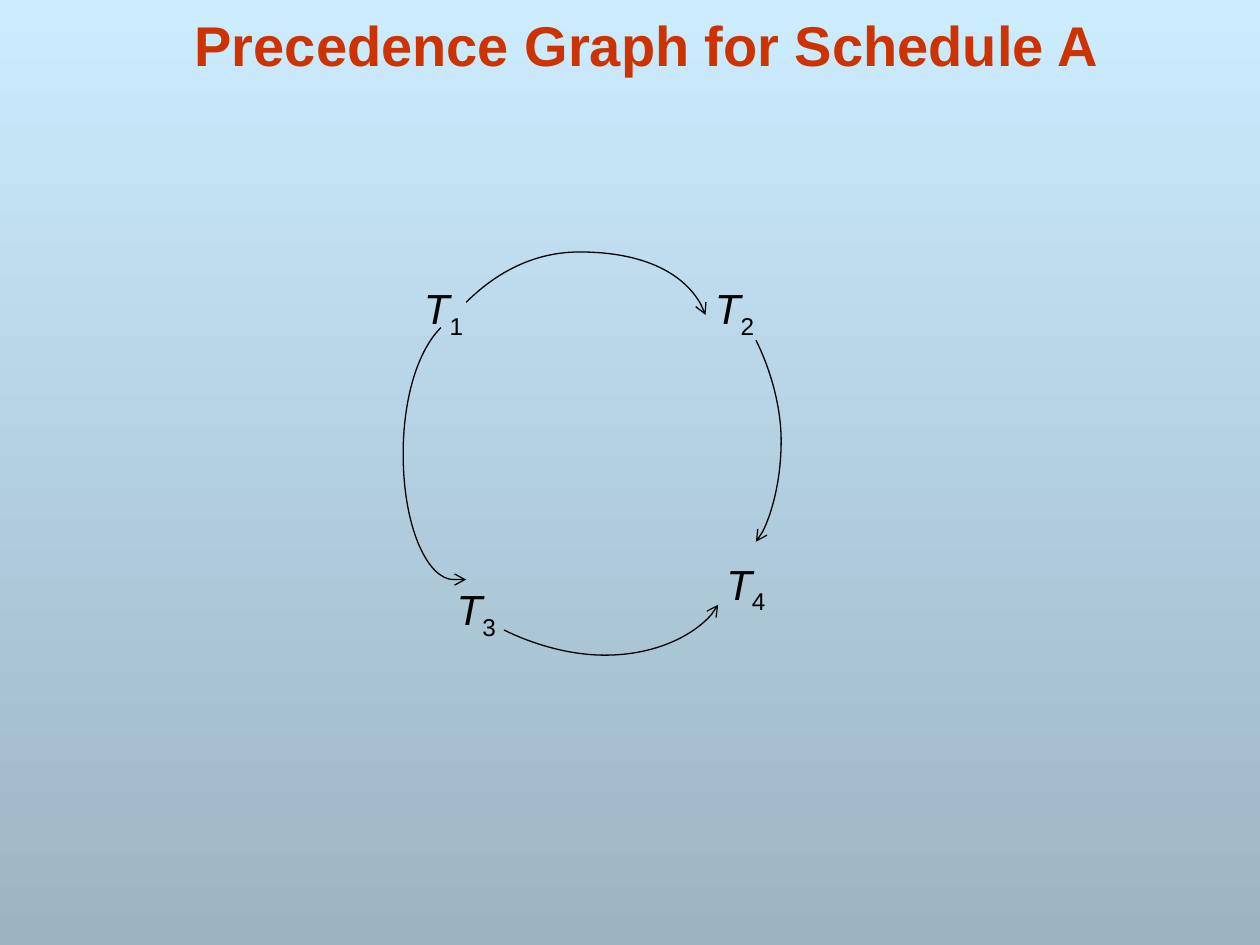
from lxml import etree
from pptx import Presentation
from pptx import util as u
from pptx.dml.color import RGBColor
from pptx.enum import text
from pptx.oxml import ns

COLORS = {"sky": "CCECFF", "slate": "9BB4C2", "title": "CC3300", "ink": "000000"}
CELL = u.Inches(0.1)  # the slide is a grid of 100 columns by 75 rows


def style(span, size, color):
    span.font.name = "Arial"
    span.font.size = u.Pt(size)
    span.font.color.rgb = RGBColor.from_string(COLORS[color])


def curved_arrow(page, points):
    """Draw joined Bezier curves; the arrowhead sits on the first point."""
    builder = page.shapes.build_freeform(*points[0], scale=CELL)
    builder.add_line_segments(points[1:], close=False)
    arrow = builder.convert_to_shape()
    arrow.shadow.inherit = False
    arrow.fill.background()
    arrow.line.color.rgb = RGBColor.from_string(COLORS["ink"])
    arrow.line.width = u.Pt(0.75)
    outline = arrow._element.spPr.get_or_add_ln()
    etree.SubElement(outline, ns.qn("a:headEnd"), type="arrow")
    segments = arrow._element.findall(".//" + ns.qn("a:lnTo"))
    for start in range(0, len(segments), 3):
        curve = etree.SubElement(segments[start].getparent(), ns.qn("a:cubicBezTo"))
        for segment in segments[start:start + 3]:
            curve.append(segment[0])
            segment.getparent().remove(segment)


deck = Presentation()
deck.slide_width, deck.slide_height = 100 * CELL, 75 * CELL
page = deck.slides.add_slide(deck.slide_layouts[5])

backdrop = page.background.fill
backdrop.gradient()
backdrop.gradient_angle = 270
for stop, color in zip(backdrop.gradient_stops, ("sky", "slate")):
    stop.color.rgb = RGBColor.from_string(COLORS[color])

title = page.shapes.title
title.left, title.top = int(7.2 * CELL), 0
title.width, title.height = int(88.3 * CELL), int(6.7 * CELL)
frame = title.text_frame
frame.text = "Precedence Graph for Schedule A"
frame.auto_size = text.MSO_AUTO_SIZE.NONE
frame.vertical_anchor = text.MSO_ANCHOR.BOTTOM
para = frame.paragraphs[0]
para.alignment = text.PP_ALIGN.CENTER
style(para.runs[0], 32, "title")
para.runs[0].font.bold = True

# Transaction number: column and row of its label
transactions = {"3": (34.8, 45.8), "4": (56.2, 43.8), "1": (32.2, 21.9), "2": (55.3, 21.9)}
for number, (column, row) in transactions.items():
    box = page.shapes.add_textbox(
        int(column * CELL), int(row * CELL), 6 * CELL, int(5.6 * CELL))
    frame = box.text_frame
    frame.word_wrap = True
    frame.auto_size = text.MSO_AUTO_SIZE.SHAPE_TO_FIT_TEXT
    frame.vertical_anchor = text.MSO_ANCHOR.MIDDLE
    para = frame.paragraphs[0]
    para.alignment = text.PP_ALIGN.CENTER
    para.space_before = u.Pt(15)
    for wording in ("T", number):
        span = para.add_run()
        span.text = wording
        style(span, 24, "ink")
        span.font.italic = wording == "T"
    span._r.get_or_add_rPr().set("baseline", "-25000")

# Edges T3-T4, T2-T4, T1-T2 and T1-T3, each from its arrowhead back
edges = [
    [(57.3, 48.3), (55.9, 50.4), (52, 51.9), (47.6, 51.9),
     (44.7, 51.9), (42, 51.3), (40.1, 50.2)],
    [(59.5, 43.4), (61, 41.5), (61.9, 38.5), (61.9, 35.3),
     (61.9, 32.2), (61.1, 29.4), (59.7, 27.4)],
    [(56, 24.7), (54.6, 22.2), (50.7, 20.5), (46.2, 20.5),
     (42.4, 20.5), (38.9, 21.8), (37.2, 23.8)],
    [(36.7, 46.1), (36.6, 46.2), (36.5, 46.2), (36.4, 46.2),
     (33.9, 46.2), (31.8, 41.6), (31.8, 35.9),
     (31.8, 31.5), (33.1, 27.5), (35.1, 26.2)],
]
for points in edges:
    curved_arrow(page, points)

deck.save("out.pptx")
